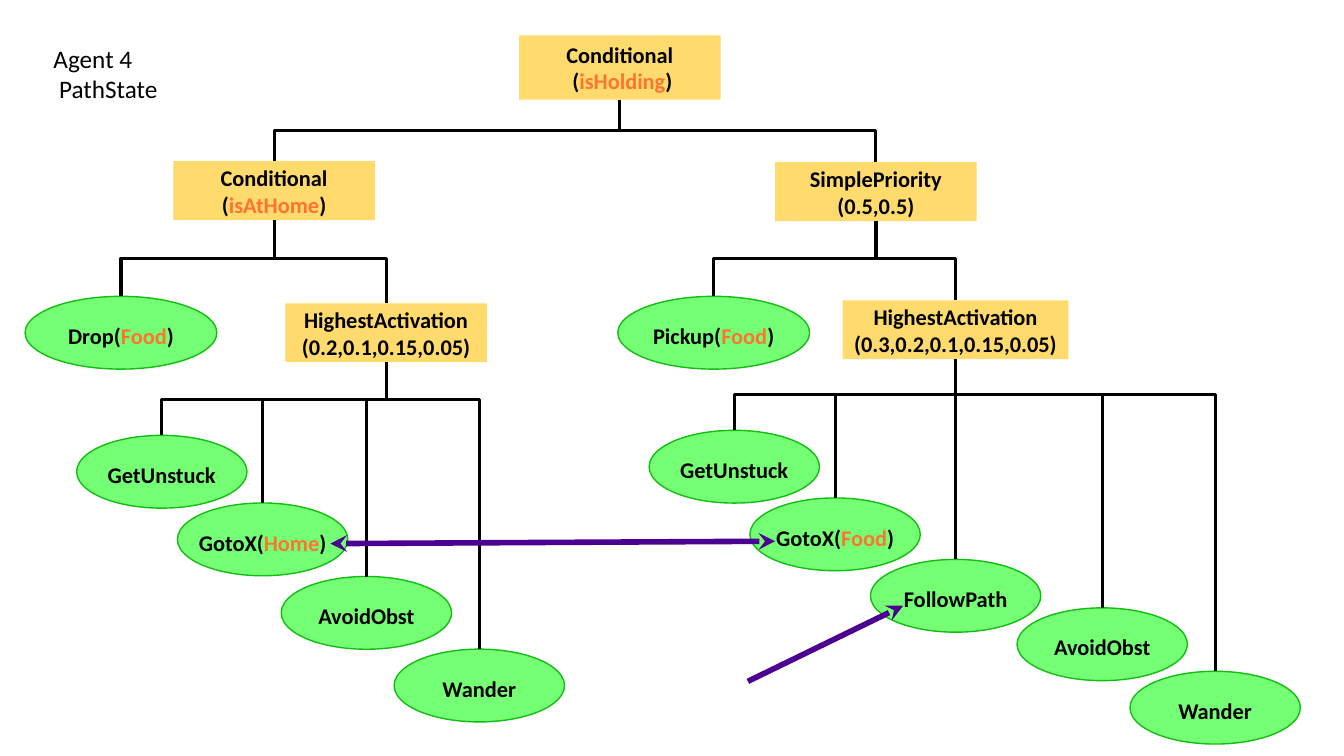
import lxml.etree
import pptx
import pptx.dml.color
import pptx.enum.shapes
import pptx.enum.text
import pptx.oxml.ns
import pptx.util

Pt = pptx.util.Pt
RGBColor = pptx.dml.color.RGBColor
Kind = pptx.enum.shapes.MSO_SHAPE
Wire = pptx.enum.shapes.MSO_CONNECTOR
Text = pptx.enum.text
qn = pptx.oxml.ns.qn

BLACK = RGBColor(0x00, 0x00, 0x00)
ORANGE = RGBColor(0xFF, 0x74, 0x31)
GOLD = RGBColor(0xFF, 0xC2, 0x0A)
GREEN = RGBColor(0x1A, 0xFF, 0x1A)
EDGE = RGBColor(0x13, 0xBD, 0x13)
PURPLE = RGBColor(0x4B, 0x00, 0x92)

deck = pptx.Presentation()
deck.slide_width, deck.slide_height = Pt(960), Pt(540)
slide = deck.slides.add_slide(deck.slide_layouts[5])

title = slide.shapes.title
title.left, title.top, title.width, title.height = Pt(31), Pt(27.4), Pt(109.4), Pt(51)
frame = title.text_frame
frame.text = "Agent 4\v PathState"
frame.word_wrap = True
frame.auto_size = Text.MSO_AUTO_SIZE.NONE
frame.vertical_anchor = Text.MSO_ANCHOR.TOP
frame.paragraphs[0].alignment = Text.PP_ALIGN.LEFT
for run in frame.paragraphs[0].runs:
    run.font.name, run.font.size = "Calibri", Pt(18)
    run.font.color.rgb = BLACK

rules = [
    ("root", 442.8, 25.2, 144, 46, "Conditional\v (|isHolding|)"),
    ("home", 195.8, 115.2, 144, 42, "Conditional\v(|isAtHome|)"),
    ("prior", 625.7, 115.9, 144, 42, "SimplePriority\v(0.5,0.5)"),
    ("left", 275.8, 216.7, 144, 42, "HighestActivation\v(0.2,0.1,0.15,0.05)"),
    ("right", 682.6, 214.6, 161.3, 42, "HighestActivation\v(0.3,0.2,0.1,0.15,0.05)"),
]
acts = [
    ("drop", 86.4, 211.7, 137, "Drop(|Food|)"),
    ("pickup", 509.8, 211.7, 137, "Pickup(|Food|)"),
    ("get l", 115.6, 311, 121.7, "GetUnstuck"),
    ("go l", 187.6, 359.3, 121.7, "GotoX(|Home|)"),
    ("avoid l", 261.7, 411.8, 121.7, "AvoidObst"),
    ("roam l", 342.4, 463.7, 121.7, "Wander"),
    ("get r", 524.5, 307.4, 121.7, "GetUnstuck"),
    ("go r", 596.5, 355.7, 121.7, "GotoX(|Food|)"),
    ("follow", 682.6, 399.6, 121.7, "FollowPath"),
    ("avoid r", 787.3, 434.2, 121.7, "AvoidObst"),
    ("roam r", 868, 479.5, 121.7, "Wander"),
]
nodes = {}
for name, mid, top, wide, high, label in rules + [(*act[:4], 52, act[4]) for act in acts]:
    leaf = high == 52
    node = slide.shapes.add_shape(Kind.OVAL if leaf else Kind.RECTANGLE,
                                  Pt(mid - wide / 2), Pt(top), Pt(wide), Pt(high))
    node.shadow.inherit = False
    node.fill.solid()
    node.fill.fore_color.rgb = GREEN if leaf else GOLD
    tint = node._element.spPr.find(".//" + qn("a:srgbClr"))
    lxml.etree.SubElement(tint, qn("a:alpha")).set("val", "60000")
    if leaf:
        node.line.color.rgb, node.line.width = EDGE, Pt(1)
    else:
        node.line.fill.background()
    frame = node.text_frame
    frame.word_wrap = False
    frame.vertical_anchor = Text.MSO_ANCHOR.MIDDLE
    frame.margin_top, frame.margin_bottom = Pt(4 if leaf else 0), Pt(0)
    para = frame.paragraphs[0]
    para.alignment = Text.PP_ALIGN.CENTER
    parts = label.split("|")
    para.text = parts[0]
    for part in parts[1:]:
        para.add_run().text = part
    for run in para.runs:
        run.font.name, run.font.size, run.font.bold = "Calibri", Pt(16), True
        run.font.color.rgb = ORANGE if run.text in parts[1:2] else BLACK
    nodes[name] = node


def link(kind, ends, tone, width):
    wire = slide.shapes.add_connector(kind, *[Pt(end) for end in ends])
    wire.line.color.rgb, wire.line.width = tone, Pt(width)
    lxml.etree.SubElement(wire._element.spPr, qn("a:effectLst"))
    return wire


forks = [
    ("root", 93.5, ["prior", "home"], []),
    ("home", 184.5, ["drop", "left"], []),
    ("prior", 184.5, ["pickup", "right"], []),
    ("left", 285.2, ["get l", "roam l"], ["go l", "avoid l"]),
    ("right", 281.9, ["get r", "roam r"], ["go r", "follow", "avoid r"]),
]
for head, bus, sides, drops in forks:
    base = nodes[head]
    x, y = (base.left + base.width / 2) / 12700, (base.top + base.height) / 12700
    for side in sides:
        goal = nodes[side]
        far, low = (goal.left + goal.width / 2) / 12700, goal.top / 12700
        wire = link(Wire.ELBOW, (x, y, far, low), BLACK, 2.25)
        wire.begin_connect(base, 2)
        wire.end_connect(goal, 0)
        long, span = low - y, abs(far - x)
        wire.left, wire.top = Pt((x + far - long) / 2), Pt((y + low - span) / 2)
        wire.width, wire.height = Pt(long), Pt(span)
        form = wire._element.spPr.find(qn("a:xfrm"))
        form.set("rot", "16200000" if far > x else "5400000")
        form.set("flipH", "1" if far > x else "0")
        bend = lxml.etree.SubElement(wire._element.spPr.find(".//" + qn("a:avLst")), qn("a:gd"))
        bend.set("name", "adj1")
        bend.set("fmla", f"val {round((bus - y) / long * 100000)}")
    for drop in drops:
        goal = nodes[drop]
        mid = (goal.left + goal.width / 2) / 12700
        wire = link(Wire.STRAIGHT, (mid, goal.top / 12700, mid, bus), BLACK, 2.25)
        wire.begin_connect(goal, 0)

for ends, tips in [
    ((236, 388.3, 553.7, 386.6), ["headEnd", "tailEnd"]),
    ((534.2, 486.7, 645.1, 432.7), ["tailEnd"]),
]:
    arrow = link(Wire.STRAIGHT, ends, PURPLE, 4)
    for tip in tips:
        lxml.etree.SubElement(arrow.line._get_or_add_ln(), qn("a:" + tip)).set("type", "stealth")

deck.save("out.pptx")
